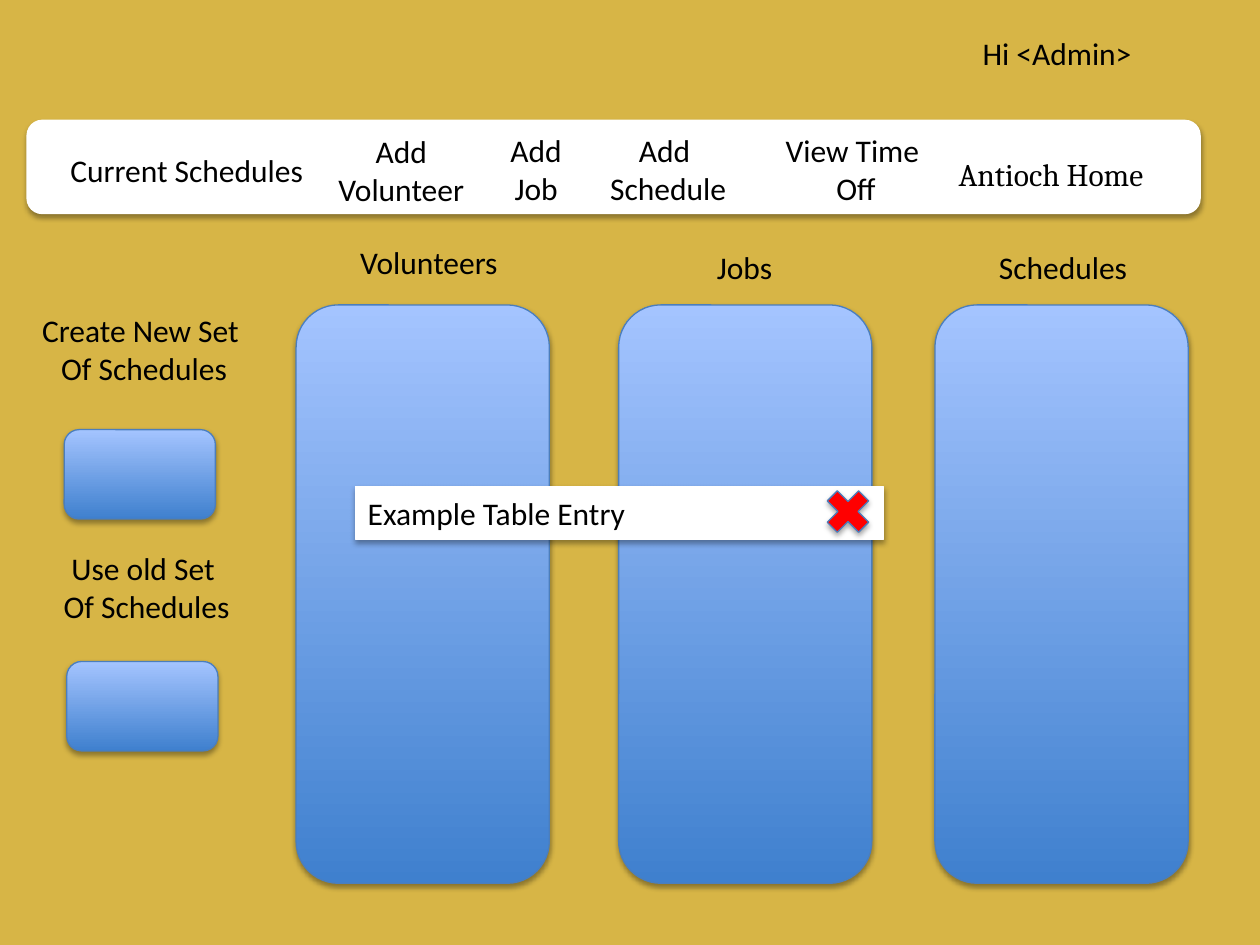
from lxml.etree import SubElement
from pptx import Presentation
from pptx.dml.color import RGBColor
from pptx.enum.shapes import MSO_SHAPE
from pptx.enum.text import MSO_ANCHOR, MSO_AUTO_SIZE, PP_ALIGN
from pptx.oxml.ns import qn
from pptx.util import Inches, Pt

COLORS = {"back": "D7B546", "white": "FFFFFF", "text": "000000", "deep": "3F80CE",
          "pale": "A4C4FF", "edge": "4B7EBC", "delete": "FF0000", "shadow": "000000"}
SLIDE_W, SLIDE_H = 10, 7.5
LINE_H, TWO_LINE_H = 0.4, 0.71
COLUMN_TOP, COLUMN_W, COLUMN_H = 2.42, 2.01, 4.59
BUTTON_W, BUTTON_H = 1.2, 0.71

# lines, left, top, width, font
LABELS = [
    (["Hi <Admin>"], 7.7, 0.22, 1.4, "Calibri"),
    (["Current Schedules"], 0.46, 1.15, 2.07, "Calibri"),
    (["Add", "Volunteer"], 2.57, 1, 1.23, "Calibri"),
    (["Add ", "Job"], 3.95, 0.99, 0.61, "Calibri"),
    (["Add", " Schedule"], 4.68, 0.99, 1.19, "Calibri"),
    (["View Time", " Off"], 6.13, 0.99, 1.27, "Calibri"),
    (["Antioch Home"], 7.51, 1.18, 1.83, "Cambria"),
    (["Create New Set", " Of Schedules"], 0.22, 2.42, 1.79, "Calibri"),
    (["Use old Set", " Of Schedules"], 0.34, 4.31, 1.59, "Calibri"),
]
# heading, heading left, heading top, heading width, column left
COLUMNS = [
    ("Volunteers", 2.76, 1.88, 1.32, 2.35),
    ("Jobs", 5.59, 1.92, 0.65, 4.91),
    ("Schedules", 7.83, 1.92, 1.23, 7.42),
]
BUTTONS = [(0.51, 3.41), (0.53, 5.25)]


def rgb(name):
    return RGBColor.from_string(COLORS[name])


def add_panel(s, kind, left, top, width, height, fill=None, line="edge"):
    """Add a shadowed shape; without a fill colour it gets the blue gradient."""
    sp = s.shapes.add_shape(kind, Inches(left), Inches(top), Inches(width), Inches(height))
    if fill:
        sp.fill.solid()
        sp.fill.fore_color.rgb = rgb(fill)
    else:
        sp.fill.gradient()
        sp.fill.gradient_angle = 90
        for stop, name in zip(sp.fill.gradient_stops, ("deep", "pale")):
            stop.color.rgb = rgb(name)
    if line:
        sp.line.color.rgb = rgb(line)
        sp.line.width = Pt(0.75)
    else:
        sp.line.fill.background()
    sp.shadow.inherit = False
    effects = sp._element.spPr.find(qn("a:effectLst"))
    shadow = SubElement(effects, qn("a:outerShdw"), blurRad=str(Pt(3.1)),
                        dist=str(Pt(1.8)), dir="5400000", rotWithShape="0")
    color = SubElement(shadow, qn("a:srgbClr"), val=COLORS["shadow"])
    SubElement(color, qn("a:alpha"), val="35000")
    return sp


def write(tf, lines, font="Calibri"):
    for i, line in enumerate(lines):
        p = tf.add_paragraph() if i else tf.paragraphs[0]
        p.alignment = PP_ALIGN.CENTER if len(lines) > 1 else PP_ALIGN.LEFT
        r = p.add_run()
        r.text = line
        r.font.name, r.font.size = font, Pt(18)
        r.font.color.rgb = rgb("text")


def add_label(s, lines, left, top, width, font="Calibri"):
    height = TWO_LINE_H if len(lines) > 1 else LINE_H
    box = s.shapes.add_textbox(Inches(left), Inches(top), Inches(width), Inches(height))
    tf = box.text_frame
    tf.word_wrap = False
    tf.auto_size = MSO_AUTO_SIZE.SHAPE_TO_FIT_TEXT
    write(tf, lines, font)


def main():
    prs = Presentation()
    prs.slide_width, prs.slide_height = Inches(SLIDE_W), Inches(SLIDE_H)
    s = prs.slides.add_slide(prs.slide_layouts[6])
    s.background.fill.solid()
    s.background.fill.fore_color.rgb = rgb("back")

    add_panel(s, MSO_SHAPE.ROUNDED_RECTANGLE, 0.21, 0.95, 9.32, 0.75, "white", None)
    for label in LABELS:
        add_label(s, *label)
    for heading, left, top, width, column_left in COLUMNS:
        add_label(s, [heading], left, top, width)
        add_panel(s, MSO_SHAPE.ROUNDED_RECTANGLE, column_left, COLUMN_TOP, COLUMN_W, COLUMN_H)
    for left, top in BUTTONS:
        add_panel(s, MSO_SHAPE.ROUNDED_RECTANGLE, left, top, BUTTON_W, BUTTON_H)

    entry = add_panel(s, MSO_SHAPE.RECTANGLE, 2.82, 3.86, 4.19, 0.42, "white", "white")
    entry.text_frame.vertical_anchor = MSO_ANCHOR.MIDDLE
    write(entry.text_frame, ["Example Table Entry"])
    add_panel(s, MSO_SHAPE.MATH_MULTIPLY, 6.49, 3.82, 0.48, 0.48, "delete")

    prs.save("out.pptx")


if __name__ == "__main__":
    main()
